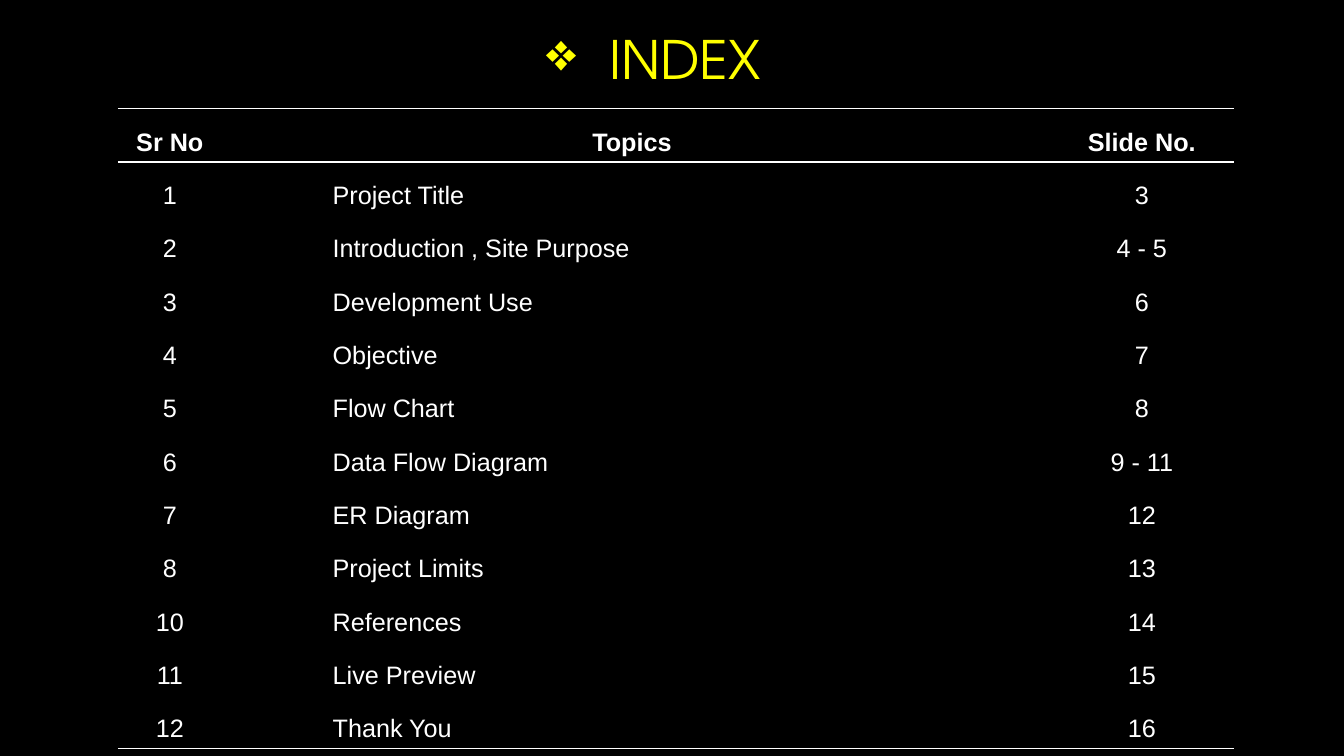
import pptx
import pptx.dml.color
import pptx.enum.text
import pptx.oxml
import pptx.oxml.ns
import pptx.util
from pptx.util import Cm

BLACK, WHITE, YELLOW = "000000", "FFFFFF", "FFFF00"
CENTER = pptx.enum.text.PP_ALIGN.CENTER
LEFT = pptx.enum.text.PP_ALIGN.LEFT
MIDDLE = pptx.enum.text.MSO_ANCHOR.MIDDLE

COLUMN_WIDTHS = [2.62, 20.85, 4.67]
ROW_HEIGHT = 1.32
HEADER = ("Sr No", "Topics ", "Slide No.")
TOPICS = [
    ("1", "Project Title", "3"),
    ("2", "Introduction , Site Purpose", "4 - 5"),
    ("3", "Development Use", "6"),
    ("4", "Objective", "7"),
    ("5", "Flow Chart", "8"),
    ("6", "Data Flow Diagram", "9 - 11"),
    ("7", "ER Diagram", "12"),
    ("8", "Project Limits", "13"),
    ("10", "References", "14"),
    ("11", "Live Preview", "15"),
    ("12", "Thank You", "16"),
]


def color(hex_string):
    return pptx.dml.color.RGBColor.from_string(hex_string)


def set_attributes(target, values):
    for name, value in values.items():
        setattr(target, name, value)


def add_run(paragraph, text, font_name, size, hex_string, bold=False):
    run = paragraph.add_run()
    run.text = text
    set_attributes(run.font, {"name": font_name, "size": pptx.util.Pt(size), "bold": bold})
    run.font.color.rgb = color(hex_string)


def set_indent(paragraph, left, first_line=0):
    properties = paragraph._p.get_or_add_pPr()
    properties.set("marL", str(Cm(left)))
    properties.set("indent", str(Cm(first_line)))
    return properties


def add_title(slide):
    box = slide.shapes.add_textbox(Cm(2.97), Cm(0.48), Cm(27.94), Cm(1.96))
    set_attributes(box.text_frame, {"word_wrap": True, "vertical_anchor": MIDDLE})
    paragraph = box.text_frame.paragraphs[0]
    paragraph.alignment = CENTER
    properties = set_indent(paragraph, 1.59, -1.59)
    bullet = pptx.oxml.parse_xml(f'<a:buChar {pptx.oxml.ns.nsdecls("a")} char="❖"/>')
    properties.append(bullet)
    add_run(paragraph, "INDEX\t", "TeX Gyre Adventor", 37.8, YELLOW)


def set_borders(cell, ruled_sides):
    """Draw a thin white line on the ruled sides (of L, R, T, B) and none on the others."""
    properties = cell._tc.get_or_add_tcPr()
    for side in "LRTB":
        fill = "<a:noFill/>"
        if side in ruled_sides:
            fill = f'<a:solidFill><a:srgbClr val="{WHITE}"/></a:solidFill>'
        properties.append(pptx.oxml.parse_xml(
            f'<a:ln{side} {pptx.oxml.ns.nsdecls("a")} w="12700">{fill}</a:ln{side}>'))


def fill_cell(cell, text, is_header, is_topic, ruled_sides):
    set_borders(cell, ruled_sides)
    cell.fill.background()
    set_attributes(cell, {"margin_top": Cm(0.1), "margin_bottom": Cm(0.1),
                          "vertical_anchor": MIDDLE})
    paragraph = cell.text_frame.paragraphs[0]
    indented = is_topic and not is_header
    set_attributes(paragraph, {"alignment": LEFT if indented else CENTER, "line_spacing": 1.5})
    if indented:
        paragraph.level = 2
        set_indent(paragraph, 2.54)
    add_run(paragraph, text, "Arial", 18, WHITE, is_header)


def add_index_table(slide):
    rows = [HEADER] + TOPICS
    frame = slide.shapes.add_table(len(rows), len(HEADER), Cm(2.97), Cm(2.74),
                                   Cm(sum(COLUMN_WIDTHS)), Cm(ROW_HEIGHT * len(rows)))
    table = frame.table
    set_attributes(table, {"first_row": False, "horz_banding": False})
    for column, width in zip(table.columns, COLUMN_WIDTHS):
        column.width = Cm(width)
    ruled_edges = (0, 1, len(rows))
    for row_index, texts in enumerate(rows):
        table.rows[row_index].height = Cm(ROW_HEIGHT)
        ruled_sides = [side for side, edge in (("T", row_index), ("B", row_index + 1))
                       if edge in ruled_edges]
        for column_index, text in enumerate(texts):
            fill_cell(table.cell(row_index, column_index), text,
                      row_index == 0, column_index == 1, ruled_sides)


def main():
    presentation = pptx.Presentation()
    set_attributes(presentation, {"slide_width": Cm(33.87), "slide_height": Cm(19.05)})
    slide = presentation.slides.add_slide(presentation.slide_layouts[6])
    slide.background.fill.solid()
    slide.background.fill.fore_color.rgb = color(BLACK)
    add_title(slide)
    add_index_table(slide)
    presentation.save("out.pptx")


if __name__ == "__main__":
    main()
